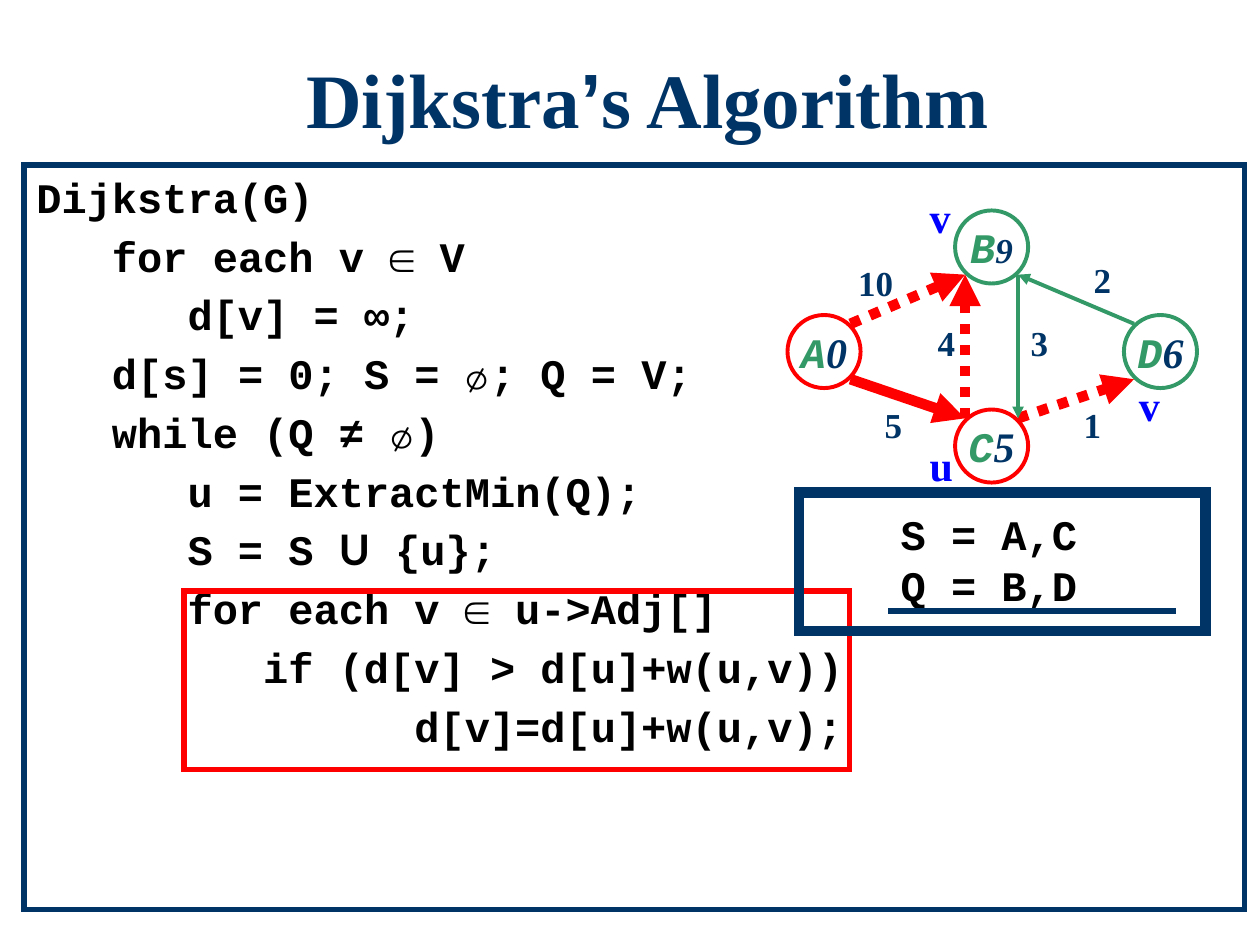
from lxml import etree
from pptx import Presentation
from pptx.dml.color import RGBColor
from pptx.enum.dml import MSO_LINE
from pptx.enum.shapes import MSO_CONNECTOR, MSO_SHAPE
from pptx.enum.text import MSO_ANCHOR, PP_ALIGN
from pptx.oxml.ns import qn
from pptx.util import Inches, Pt

COLORS = {"navy": "003366", "black": "000000", "white": "FFFFFF",
          "green": "339966", "red": "FF0000", "blue": "0000FF"}
SERIF, MONO = "Times New Roman", "Courier New"
CENTER, LEFT = PP_ALIGN.CENTER, PP_ALIGN.LEFT
TOP, MIDDLE = MSO_ANCHOR.TOP, MSO_ANCHOR.MIDDLE
RECTANGLE, OVAL = MSO_SHAPE.RECTANGLE, MSO_SHAPE.OVAL
STRAIGHT, DOTTED = MSO_CONNECTOR.STRAIGHT, MSO_LINE.ROUND_DOT

NODE_SIZE = 0.58
RIM_X, RIM_Y = 0.21, 0.22  # from a node's centre to where its edges attach
CODE_STEP = 0.6            # three monospaced characters

# name: (centre x, centre y, outline, distance, distance size)
NODES = {"B": (7.87, 1.96, "green", "9", 20),
         "C": (7.87, 3.54, "red", "5", 24),
         "D": (9.21, 2.79, "green", "6", 24),
         "A": (6.54, 2.79, "red", "0", 24)}

# start node, its corner, end node, its corner, colour, width, dash
EDGES = [("A", (1, -1), "B", (-1, 1), "red", 6, DOTTED),
         ("A", (1, 1), "C", (-1, -1), "red", 6, None),
         ("C", (1, -1), "D", (-1, 1), "red", 6, DOTTED),
         ("D", (-1, -1), "B", (1, 1), "green", 2.25, None),
         ("C", (-1, -1), "B", (-1, 1), "red", 6, DOTTED),
         ("B", (1, 1), "C", (1, -1), "green", 2.25, None)]

WEIGHTS = [("10", 6.71, 2.03, 0.48), ("4", 7.34, 2.5, 0.34),
           ("3", 8.08, 2.5, 0.34), ("2", 8.58, 2, 0.34),
           ("1", 8.5, 3.15, 0.34), ("5", 6.92, 3.15, 0.34)]

MARKERS = [("u", 7.28, 3.44), ("v", 7.28, 1.47), ("v", 8.94, 2.96)]

# indent steps, line
CODE = [(0, "Dijkstra(G)"),
        (1, "for each v ∈ V"),
        (2, "d[v] = ∞;"),
        (1, "d[s] = 0; S = ∅; Q = V;"),
        (1, "while (Q ≠ ∅)"),
        (2, "u = ExtractMin(Q);"),
        (2, ["S = S ", ("U", {"font": "Lato"}), " {u};"]),
        (2, "for each v ∈ u->Adj[]"),
        (3, "if (d[v] > d[u]+w(u,v))"),
        (5, "d[v]=d[u]+w(u,v);")]


def rgb(name):
    return RGBColor.from_string(COLORS[name])


def write_text(frame, lines, font=SERIF, size=24, color="navy", italic=False,
               align=LEFT, anchor=TOP, wrap=False, before=0, spacing=None,
               indents=()):
    """Each line is a string or a list of strings and (string, overrides) pairs."""
    frame.word_wrap = wrap
    frame.vertical_anchor = anchor
    for index, line in enumerate(lines):
        paragraph = frame.paragraphs[0] if index == 0 else frame.add_paragraph()
        paragraph.alignment = align
        paragraph.space_before = Pt(before)
        if spacing:
            paragraph.line_spacing = spacing
        if indents:
            properties = paragraph._p.get_or_add_pPr()
            properties.set("marL", str(Inches(indents[index])))
            properties.set("indent", "0")
        for piece in [line] if isinstance(line, str) else line:
            words, changes = (piece, {}) if isinstance(piece, str) else piece
            run = paragraph.add_run()
            run.text = words
            run.font.name = changes.get("font", font)
            run.font.size = Pt(changes.get("size", size))
            run.font.color.rgb = rgb(changes.get("color", color))
            run.font.bold = True
            run.font.italic = italic


def add_label(slide, box, lines, **text_format):
    label = slide.shapes.add_textbox(*map(Inches, box))
    write_text(label.text_frame, lines, **text_format)


def add_outlined(slide, kind, box, line, width, fill=None):
    """Add a shape with a sharp-cornered outline."""
    shape = slide.shapes.add_shape(kind, *map(Inches, box))
    shape.shadow.inherit = False
    if fill:
        shape.fill.solid()
        shape.fill.fore_color.rgb = rgb(fill)
    else:
        shape.fill.background()
    shape.line.color.rgb = rgb(line)
    shape.line.width = Pt(width)
    outline = shape._element.spPr.find(qn("a:ln"))
    etree.SubElement(outline, qn("a:miter"), lim="800000")
    return shape


def add_line(slide, start, end, color, width, dash=None, arrow=False):
    line = slide.shapes.add_connector(STRAIGHT, *map(Inches, (*start, *end)))
    line.line.color.rgb = rgb(color)
    line.line.width = Pt(width)
    if dash:
        line.line.dash_style = dash
    properties = line._element.spPr
    if arrow:
        outline = properties.find(qn("a:ln"))
        etree.SubElement(outline, qn("a:tailEnd"), type="triangle")
    etree.SubElement(properties, qn("a:effectLst"))


def add_code(slide):
    panel = add_outlined(slide, RECTANGLE, (0.19, 1.31, 9.69, 5.91), "navy", 3, "white")
    write_text(panel.text_frame, [line for _, line in CODE], font=MONO,
               color="black", wrap=True, before=4.8,
               indents=[steps * CODE_STEP for steps, _ in CODE])


def add_node(slide, name):
    x, y, outline, distance, size = NODES[name]
    box = (x - NODE_SIZE / 2, y - NODE_SIZE / 2, NODE_SIZE, NODE_SIZE)
    node = add_outlined(slide, OVAL, box, outline, 2.25, "white")
    letter = (name, {"font": MONO, "color": "green"})
    write_text(node.text_frame, [[letter, (distance, {"size": size})]],
               italic=True, align=CENTER, anchor=MIDDLE)


def rim_point(name, corner):
    x, y = NODES[name][:2]
    return x + corner[0] * RIM_X, y + corner[1] * RIM_Y


def add_graph(slide):
    for name in NODES:
        add_node(slide, name)
    for start, start_corner, end, end_corner, color, width, dash in EDGES:
        add_line(slide, rim_point(start, start_corner), rim_point(end, end_corner),
                 color, width, dash, arrow=True)
    for weight, x, y, width in WEIGHTS:
        add_label(slide, (x, y, width, 0.43), [weight], size=20, align=CENTER)


def main():
    deck = Presentation()
    deck.slide_width, deck.slide_height = Inches(10), Inches(7.5)
    slide = deck.slides.add_slide(deck.slide_layouts[6])

    add_label(slide, (1.14, 0.44, 8, 0.92),
              [["Dijkstra", ("’", {"font": "Arial"}), "s Algorithm"]],
              size=44, align=CENTER, wrap=True, spacing=0.9)
    add_code(slide)
    add_graph(slide)
    add_outlined(slide, RECTANGLE, (1.46, 4.69, 5.28, 1.42), "red", 3)
    add_label(slide, (7.05, 3.99, 1.6, 0.9), ["S = A,C", "Q = B,D"],
              font=MONO, color="black")
    add_line(slide, (7.05, 4.85), (9.33, 4.85), "navy", 3)
    for name, x, y in MARKERS:
        add_label(slide, (x, y, 0.38, 0.5), [name], color="blue")
    add_outlined(slide, RECTANGLE, (6.34, 3.91, 3.23, 1.1), "navy", 6)
    deck.save("out.pptx")


if __name__ == "__main__":
    main()
